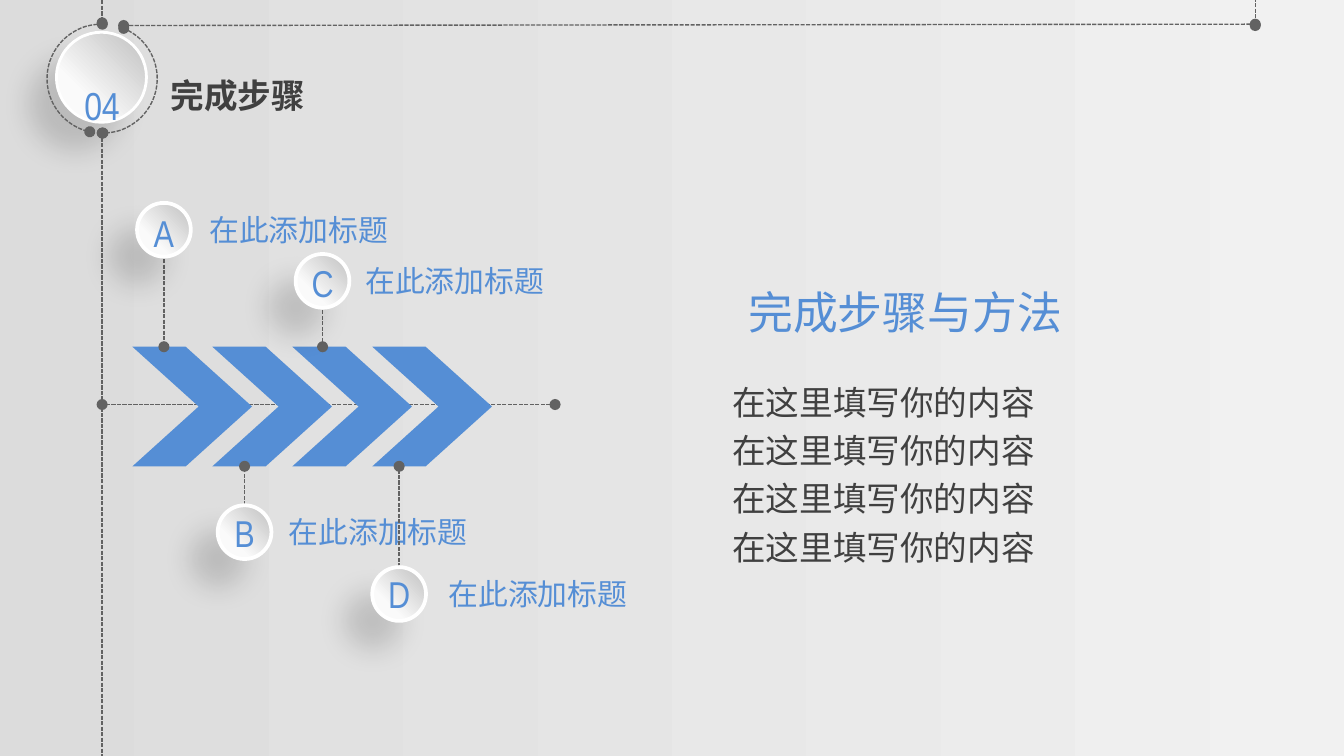
from lxml.etree import SubElement
from pptx import Presentation
from pptx.dml.color import RGBColor
from pptx.enum.dml import MSO_LINE_DASH_STYLE as Dash
from pptx.enum.shapes import MSO_CONNECTOR_TYPE as Connector, MSO_SHAPE as Shape
from pptx.enum.text import MSO_ANCHOR as Anchor, MSO_AUTO_SIZE as AutoSize, PP_ALIGN as Align
from pptx.oxml.ns import qn
from pptx.util import Inches, Pt

WIDTH, HEIGHT = Inches(10), Inches(5.625)
CELL = WIDTH / 100  # square grid: 100 columns, 56.25 rows
BLUE, GREY, DARK, WHITE = "558ED5", "626262", "404040", "FFFFFF"
SANS, SANS_JP, NARROW = "Noto Sans CJK SC", "Noto Sans CJK JP", "Arial Narrow"
AXIS, CHEVRON_TOP, CHEVRON_SIZE = 7.6, 25.8, 8.9

# letter, centre column, centre row, pin row, letter row, label column
STEPS = [
    ("A", 12.2, 17.1, 17.7, 17.3, 14.6),
    ("C", 24, 20.9, 21.5, 21, 26.2),
    ("B", 18.2, 39.6, 39.2, 39.6, 20.5),
    ("D", 29.7, 44.2, 44.2, 44.2, 32.4),
]


def grid(*cells):
    return [round(cell * CELL) for cell in cells]


def color(hex_code):
    return RGBColor.from_string(hex_code)


def gradient(fill, start, end, end_at=1.0, angle=0):
    fill.gradient()
    fill.gradient_angle = angle
    for stop, shade, position in zip(fill.gradient_stops, (start, end), (0, end_at)):
        stop.color.rgb = color(shade)
        stop.position = position


def dotted(line):
    """Dashed grey line with a dot at both ends."""
    line.color.rgb = color(GREY)
    line.width = Pt(0.75)
    line.dash_style = Dash.SQUARE_DOT
    ln = line._get_or_add_ln()
    for end in ("a:headEnd", "a:tailEnd"):
        SubElement(ln, qn(end), type="oval")


def add_line(slide, x1, y1, x2, y2):
    connector = slide.shapes.add_connector(Connector.STRAIGHT, *grid(x1, y1, x2, y2))
    dotted(connector.line)
    SubElement(connector._element.spPr, qn("a:effectLst"))


def add_arc(slide, x, y, size, angles, mirrored=False):
    arc = slide.shapes.add_shape(Shape.ARC, *grid(x, y, size, size))
    arc.adjustments[0], arc.adjustments[1] = angles
    arc.shadow.inherit = False
    arc.fill.background()
    dotted(arc.line)
    if mirrored:
        arc._element.spPr.xfrm.set("flipH", "1")


def add_ball(slide, center_x, center_y, size, border):
    ball = slide.shapes.add_shape(
        Shape.OVAL, *grid(center_x - size / 2, center_y - size / 2, size, size))
    gradient(ball.fill, "BFBFBF", "FAFAFA", end_at=0.7, angle=225)
    ball.line.color.rgb = color(WHITE)
    ball.line.width = Pt(border)
    ball.shadow.inherit = False
    # Soft shadow towards the lower left
    effects = ball._element.spPr.find(qn("a:effectLst"))
    shadow = SubElement(effects, qn("a:outerShdw"), blurRad=str(Pt(15)), dist=str(Pt(20)),
                        dir="8100000", algn="tr", rotWithShape="0")
    black = SubElement(shadow, qn("a:srgbClr"), val="000000")
    SubElement(black, qn("a:alpha"), val="15000")


def add_chevron(slide, x):
    chevron = slide.shapes.add_shape(
        Shape.CHEVRON, *grid(x, CHEVRON_TOP, CHEVRON_SIZE, CHEVRON_SIZE))
    chevron.adjustments[0] = 0.554
    chevron.shadow.inherit = False
    chevron.fill.solid()
    chevron.fill.fore_color.rgb = color(BLUE)
    chevron.line.fill.background()


def add_text(slide, text, x, y, w, h, size, font=SANS, ink=BLUE, bold=False, align=Align.LEFT,
             anchor=Anchor.TOP, spacing=1.0, wrap=False, raised=0, holder=None):
    box = holder or slide.shapes.add_textbox(0, 0, 0, 0)
    box.left, box.top, box.width, box.height = grid(x, y, w, h)
    frame = box.text_frame
    frame.text = text
    frame.word_wrap = wrap
    frame.auto_size = AutoSize.SHAPE_TO_FIT_TEXT
    frame.vertical_anchor = anchor
    for paragraph in frame.paragraphs:
        paragraph.alignment = align
        paragraph.line_spacing = spacing
        for run in paragraph.runs:
            run.font.size = Pt(size)
            run.font.bold = bold
            run.font.color.rgb = color(ink)
            run.font.name = font
            properties = run.font._element
            SubElement(properties, qn("a:ea"), typeface=font)
            if raised:
                properties.set("baseline", str(raised * 1000))


def add_header(slide):
    add_ball(slide, 7.55, 5.75, 6.7, border=1.5)
    add_arc(slide, 3.5, 1.8, 8.1, (161.446, 46.57), mirrored=True)
    add_arc(slide, 3.6, 1.8, 8.1, (175.583, 53.897))
    add_text(slide, "04", 4.8, 2.9, 5.6, 6.3, 36, font=NARROW, align=Align.CENTER,
             anchor=Anchor.MIDDLE, spacing=1.5, raised=12)
    add_text(slide, "完成步骤", 11.7, 5.1, 12.1, 4, 18, ink=DARK, bold=True,
             holder=slide.shapes.title)


def add_frame_lines(slide):
    add_line(slide, AXIS, 9.9, AXIS, 58.2)
    add_line(slide, AXIS, -3.2, AXIS, 1.7)
    add_line(slide, 93.4, 1.8, 9.2, 1.9)
    add_line(slide, 93.4, -3, 93.4, 1.9)


def add_step(slide, letter, x, y, pin, letter_y, label_x):
    above = y < CHEVRON_TOP
    edge = CHEVRON_TOP if above else CHEVRON_TOP + CHEVRON_SIZE
    add_line(slide, x, pin, x, edge)
    add_text(slide, "在此添加标题", label_x, y - 1.85, 21.2, 3.7, 16, font=SANS_JP, wrap=True)
    add_ball(slide, x, y, 4, border=2)
    add_text(slide, letter, x - 1.8, letter_y - 2.2, 3.6, 4.4, 20, font=NARROW,
             align=Align.CENTER, anchor=Anchor.MIDDLE)


def main():
    deck = Presentation()
    deck.slide_width, deck.slide_height = WIDTH, HEIGHT
    slide = deck.slides.add_slide(deck.slide_layouts[5])
    gradient(slide.background.fill, "DCDCDC", "F1F1F1")

    # Header and frame
    add_line(slide, 41.3, 30.1, AXIS, 30.1)
    add_header(slide)
    add_frame_lines(slide)

    # Process chain and its steps
    for index in range(4):
        add_chevron(slide, 9.85 + index * 5.95)
    for step in STEPS:
        add_step(slide, *step)

    # Explanation
    add_text(slide, "完成步骤与方法", 54.7, 20.7, 28.3, 5, 24, wrap=True)
    add_text(slide, "\n".join(["在这里填写你的内容"] * 4), 53.5, 27.3, 24.7, 15.6, 18,
             ink=DARK, spacing=1.2)

    deck.save("out.pptx")


if __name__ == "__main__":
    main()
